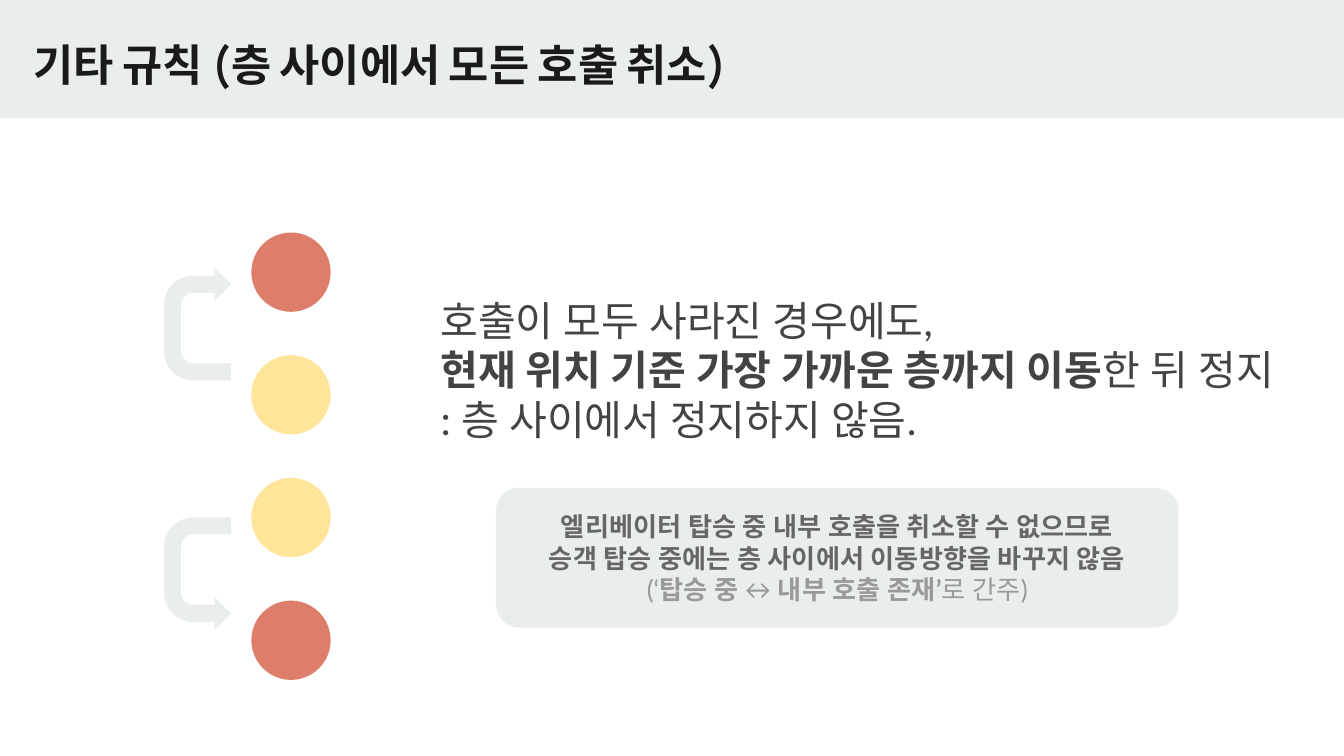
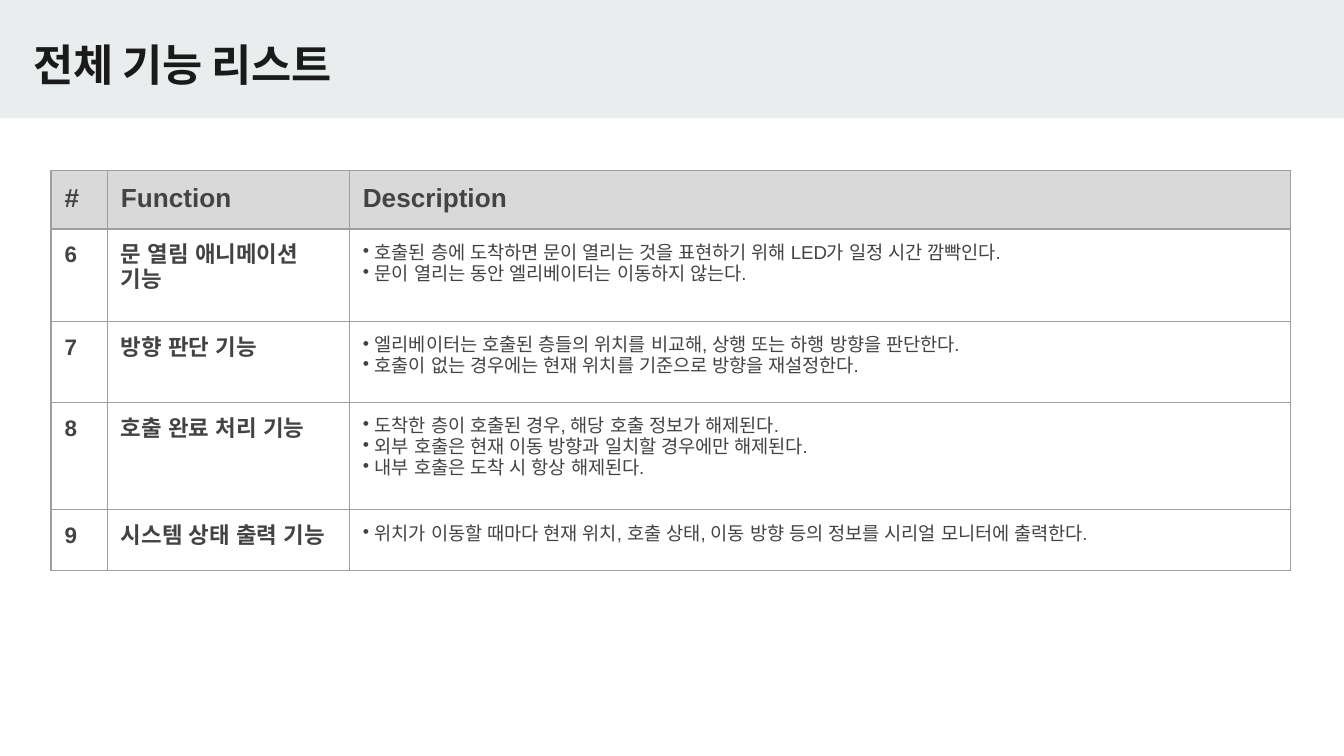
from lxml import etree
from pptx import Presentation
from pptx.dml.color import RGBColor
from pptx.enum.shapes import MSO_SHAPE
from pptx.enum.text import MSO_ANCHOR, PP_ALIGN
from pptx.oxml.ns import qn
from pptx.util import Inches, Pt

RECTANGLE = MSO_SHAPE.RECTANGLE
ROUNDED = MSO_SHAPE.ROUNDED_RECTANGLE
CIRCLE = MSO_SHAPE.OVAL
U_TURN = MSO_SHAPE.U_TURN_ARROW
TOP, MIDDLE = MSO_ANCHOR.TOP, MSO_ANCHOR.MIDDLE
LEFT, CENTER = PP_ALIGN.LEFT, PP_ALIGN.CENTER

COLORS = {
    "band": "E9EDEE",
    "title": "1A1A1A",
    "text": "434343",
    "note": "666666",
    "aside": "999999",
    "stop": "DD7E6B",
    "floor": "FFE599",
    "header": "D9D9D9",
    "border": "9E9E9E",
}
TITLE_FONT, BODY_FONT, TABLE_FONT = "Manrope", "Lato", "Arial"
BREAK = "\n"

# Square grid: 100 columns by 56.25 rows
SLIDE_WIDTH, SLIDE_HEIGHT = Inches(10), Inches(5.625)
UNIT = SLIDE_WIDTH / 100
INSET = round(UNIT)
BULLET_INDENT = round(0.9 * UNIT)


def color(name):
    return RGBColor.from_string(COLORS[name])


def grid(*lengths):
    return [round(length * UNIT) for length in lengths]


class Deck:
    """Holds the style and the current slide."""

    def __init__(self):
        self.presentation = Presentation()
        self.presentation.slide_width = SLIDE_WIDTH
        self.presentation.slide_height = SLIDE_HEIGHT
        self.slide = None

    def new_slide(self, title):
        layout = self.presentation.slide_layouts[6]
        self.slide = self.presentation.slides.add_slide(layout)
        self.shape(RECTANGLE, (0, 0, 100, 8.8), "band")
        run = (title, {"bold": True})
        self.text_box((1.5, 1.8, 84.1, 5.9), [[run]], TITLE_FONT, 23.4, "title")

    def shape(self, kind, place, fill, adjustments=()):
        shape = self.slide.shapes.add_shape(kind, *grid(*place))
        shape.shadow.inherit = False
        shape.fill.solid()
        shape.fill.fore_color.rgb = color(fill)
        shape.line.fill.background()
        for index, value in enumerate(adjustments):
            shape.adjustments[index] = value
        return shape

    def u_turn(self, place, flipped=False):
        arrow = self.shape(U_TURN, place, "band", (0.253, 0.25, 0.25, 0.438, 1))
        arrow.rotation = 270
        if flipped:
            arrow._element.spPr.xfrm.set("flipH", "1")

    def text_box(self, place, paragraphs, font, size, ink):
        box = self.slide.shapes.add_textbox(*grid(*place))
        self.fill_text(box.text_frame, paragraphs, font, size, ink)

    def fill_text(self, frame, paragraphs, font, size, ink,
                  align=LEFT, anchor=TOP, bulleted=False):
        frame.word_wrap = True
        frame.vertical_anchor = anchor
        frame.margin_left = frame.margin_right = INSET
        frame.margin_top = frame.margin_bottom = INSET
        for index, runs in enumerate(paragraphs):
            paragraph = frame.add_paragraph() if index else frame.paragraphs[0]
            paragraph.alignment = align
            if bulleted:
                self.bullet(paragraph)
            for text, style in runs:
                if text == BREAK:
                    paragraph.add_line_break()
                else:
                    self.add_run(paragraph, text, font, size,
                                 style.get("ink", ink), style.get("bold", False))

    def add_run(self, paragraph, text, font, size, ink, bold):
        run = paragraph.add_run()
        run.text = text
        run.font.size = Pt(size)
        run.font.bold = bold
        run.font.color.rgb = color(ink)
        run.font.name = font
        east_asian = etree.SubElement(run.font._element, qn("a:ea"))
        east_asian.set("typeface", font)

    def bullet(self, paragraph):
        properties = paragraph._p.get_or_add_pPr()
        properties.set("marL", str(BULLET_INDENT))
        properties.set("indent", str(-BULLET_INDENT))
        etree.SubElement(properties, qn("a:buChar")).set("char", "•")

    def table(self, left, top, columns, heights, rows):
        place = grid(left, top, sum(columns), sum(heights))
        table = self.slide.shapes.add_table(len(rows), len(columns), *place).table
        table.first_row = table.horz_banding = False
        for column, width in zip(table.columns, grid(*columns)):
            column.width = width
        for row, height in zip(table.rows, grid(*heights)):
            row.height = height
        for row_index, values in enumerate(rows):
            for column_index, value in enumerate(values):
                cell = table.cell(row_index, column_index)
                self.cell(cell, value, is_header=row_index == 0)

    def cell(self, cell, value, is_header):
        self.borders(cell)
        if is_header:
            cell.fill.solid()
            cell.fill.fore_color.rgb = color("header")
        else:
            cell.fill.background()
        bulleted = isinstance(value, list)
        lines = value if bulleted else [value]
        size = 14 if is_header else 10 if bulleted else 12
        paragraphs = [[(line, {"bold": not bulleted})] for line in lines]
        frame = cell.text_frame
        self.fill_text(frame, paragraphs, TABLE_FONT, size, "text", bulleted=bulleted)
        cell.margin_left = cell.margin_right = INSET
        cell.margin_top = cell.margin_bottom = INSET

    def borders(self, cell):
        properties = cell._tc.get_or_add_tcPr()
        for side in ("lnL", "lnR", "lnT", "lnB"):
            line = etree.SubElement(properties, qn(f"a:{side}"), w=str(Pt(0.75)))
            fill = etree.SubElement(line, qn("a:solidFill"))
            etree.SubElement(fill, qn("a:srgbClr"), val=COLORS["border"])


def cancel_rule_slide(deck):
    deck.new_slide("기타 규칙 (층 사이에서 모든 호출 취소)")

    # Floors and moves to the nearest stop
    for index, fill in enumerate(("stop", "floor", "floor", "stop")):
        deck.shape(CIRCLE, (18.7, 17.3 + 9.13 * index, 5.9, 5.9), fill)
    deck.u_turn((10.5, 21.6, 8.4, 5))
    deck.u_turn((10.5, 40.2, 8.4, 5), flipped=True)

    # Rule
    bold = {"bold": True}
    rule = [
        ("호출이 모두 사라진 경우에도,", {}),
        (BREAK, {}),
        ("현재 위치 기준 가장 가까운 층까지 이동", bold),
        ("한 뒤 정지", {}),
        (BREAK, {}),
        (": 층 사이에서 정지하지 않음.", {}),
    ]
    deck.text_box((31.8, 21, 66.9, 13.1), [rule], BODY_FONT, 22, "text")

    # Note
    aside = {"ink": "aside"}
    bold_aside = {"ink": "aside", "bold": True}
    note = [
        [("엘리베이터 탑승 중 내부 호출을 취소할 수 없으므로", bold)],
        [("승객 탑승 중에는 층 사이에서 이동방향을 바꾸지 않음", bold)],
        [("(‘", aside), ("탑승 중", bold_aside), (" ↔ ", aside),
         ("내부 호출 존재’", bold_aside), ("로 간주)", aside)],
    ]
    panel = deck.shape(ROUNDED, (36.9, 36.3, 50.8, 10.4), "band", (0.167,))
    deck.fill_text(panel.text_frame, note, BODY_FONT, 14, "note", CENTER, MIDDLE)


def function_list_slide(deck):
    deck.new_slide("전체 기능 리스트")
    rows = [
        ("#", "Function", "Description"),
        ("6", "문 열림 애니메이션 기능", [
            "호출된 층에 도착하면 문이 열리는 것을 표현하기 위해 LED가 일정 시간 깜빡인다.",
            "문이 열리는 동안 엘리베이터는 이동하지 않는다.",
        ]),
        ("7", "방향 판단 기능", [
            "엘리베이터는 호출된 층들의 위치를 비교해, 상행 또는 하행 방향을 판단한다.",
            "호출이 없는 경우에는 현재 위치를 기준으로 방향을 재설정한다.",
        ]),
        ("8", "호출 완료 처리 기능", [
            "도착한 층이 호출된 경우, 해당 호출 정보가 해제된다.",
            "외부 호출은 현재 이동 방향과 일치할 경우에만 해제된다.",
            "내부 호출은 도착 시 항상 해제된다.",
        ]),
        ("9", "시스템 상태 출력 기능", [
            "위치가 이동할 때마다 현재 위치, 호출 상태, 이동 방향 등의 정보를 "
            "시리얼 모니터에 출력한다.",
        ]),
    ]
    deck.table(3.8, 12.7, (4.2, 18, 70), (4.2, 6.9, 6, 8, 4.5), rows)


def main():
    deck = Deck()
    cancel_rule_slide(deck)
    function_list_slide(deck)
    deck.presentation.save("out.pptx")


if __name__ == "__main__":
    main()
